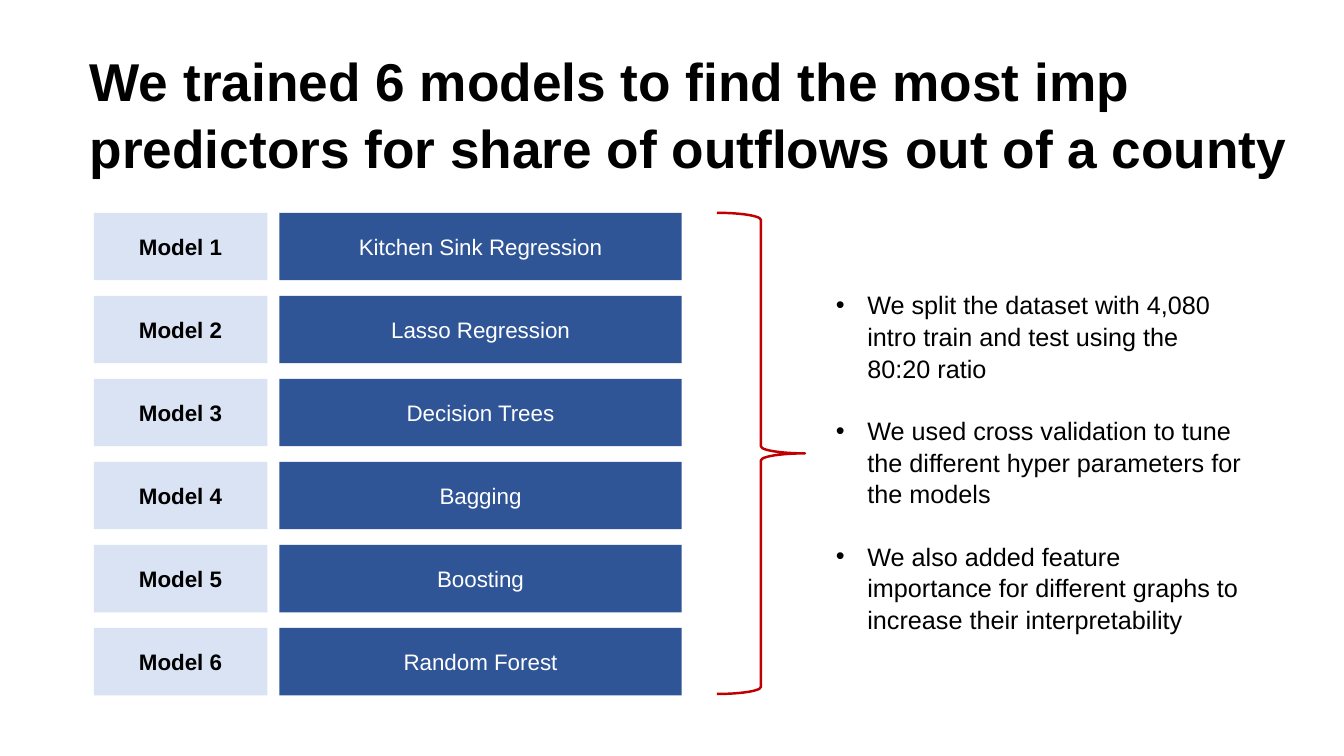
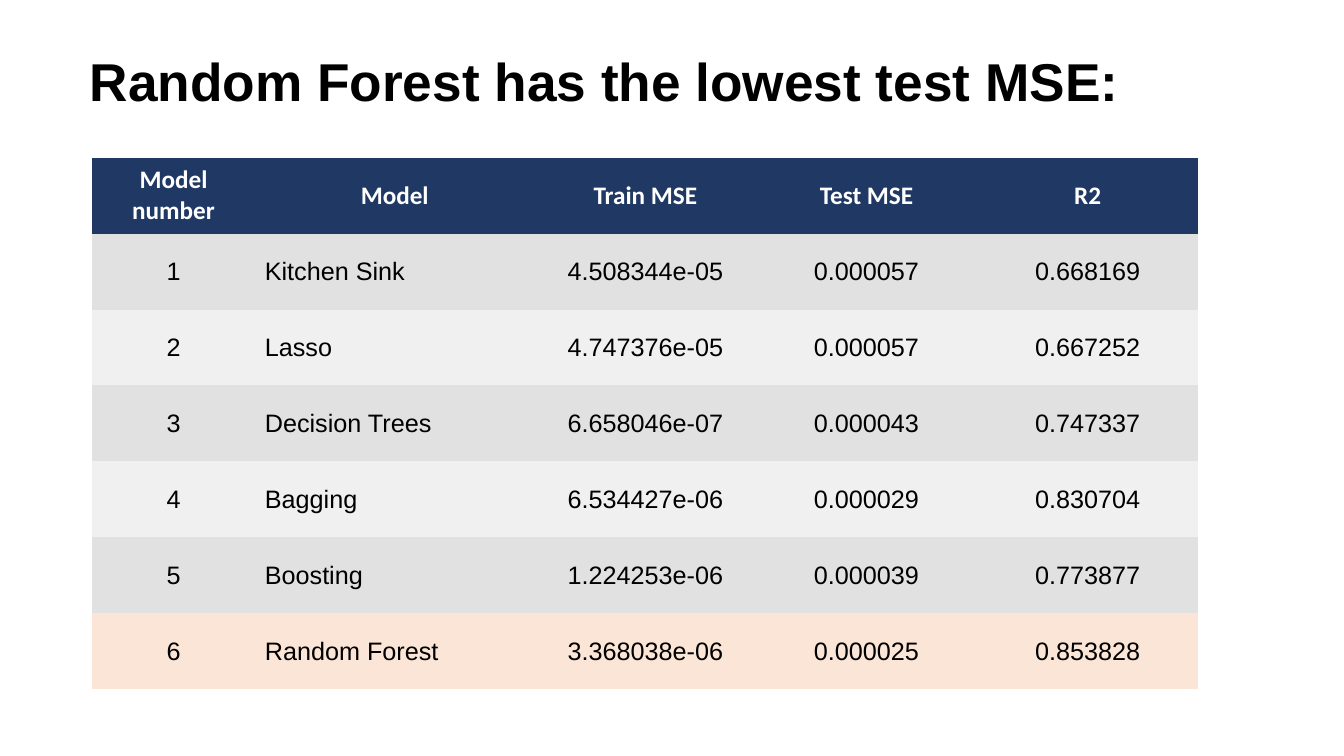
"""Two slides on the models trained to predict county outflows and their errors."""
from lxml import etree
from pptx import Presentation
from pptx.dml.color import RGBColor
from pptx.enum.shapes import MSO_SHAPE
from pptx.enum.text import MSO_ANCHOR, PP_ALIGN
from pptx.oxml.ns import qn
from pptx.util import Pt

RECT, BRACE = MSO_SHAPE.RECTANGLE, MSO_SHAPE.RIGHT_BRACE
MIDDLE, LEFT, CENTER = MSO_ANCHOR.MIDDLE, PP_ALIGN.LEFT, PP_ALIGN.CENTER

BLACK = RGBColor(0x00, 0x00, 0x00)
WHITE = RGBColor(0xFF, 0xFF, 0xFF)
NAVY = RGBColor(0x20, 0x38, 0x64)
BLUE = RGBColor(0x2F, 0x55, 0x97)
PALE_BLUE = RGBColor(0xDA, 0xE3, 0xF3)
RED = RGBColor(0xC0, 0x00, 0x00)
BANDS = [RGBColor(0xE1, 0xE1, 0xE1), RGBColor(0xF0, 0xF0, 0xF0)]
PEACH = RGBColor(0xFB, 0xE5, 0xD6)
NO_STYLE = "{2D5ABB26-0587-4C30-8999-92F81FD0307C}"

TITLE = dict(name="Arial", size=Pt(38), bold=True, color=BLACK)
LABEL = dict(name="Arial", size=Pt(16), bold=True, color=BLACK)
BAR = dict(name="Arial", size=Pt(16), bold=False, color=WHITE)
BODY = dict(name="Arial", size=Pt(18), bold=False, color=BLACK)
HEAD = dict(name="Calibri", size=Pt(18), bold=True, color=WHITE)
LINE_SPACING = 1.05

MODELS_TITLE = "We trained 6 models to find the most imp predictors for share of outflows out of a county"
MODELS = ["Kitchen Sink Regression", "Lasso Regression", "Decision Trees",
          "Bagging", "Boosting", "Random Forest"]
NOTES = [
    "We split the dataset with 4,080 intro train and test using the 80:20 ratio",
    "We used cross validation to tune the different hyper parameters for the models",
    "We also added feature importance for different graphs to increase their interpretability",
]

RESULTS_TITLE = "Random Forest has the lowest test MSE:"
HEADERS = ["Model number", "Model", "Train MSE", "Test MSE", "R2"]
RESULTS = [
    ("Kitchen Sink", "4.508344e-05", "0.000057", "0.668169"),
    ("Lasso", "4.747376e-05", "0.000057", "0.667252"),
    ("Decision Trees", "6.658046e-07", "0.000043", "0.747337"),
    ("Bagging", "6.534427e-06", "0.000029", "0.830704"),
    ("Boosting", "1.224253e-06", "0.000039", "0.773877"),
    ("Random Forest", "3.368038e-06", "0.000025", "0.853828"),
]
BEST = "Random Forest"
COLUMN_WIDTHS = [116, 200, 158, 158, 158]
ROW_HEIGHT = 54.3

BAR_TOP, BAR_STEP, BAR_HEIGHT = 152, 59.3, 48.2
LABEL_BOX = (67, 124)
NAME_BOX = (199.5, 287.5)


def write(p, text, style, align=LEFT):
    p.alignment = align
    r = p.add_run()
    r.text = text
    for key, value in style.items():
        if key == "color":
            r.font.color.rgb = value
        else:
            setattr(r.font, key, value)


def add_text(s, x, y, w, h):
    tf = s.shapes.add_textbox(Pt(x), Pt(y), Pt(w), Pt(h)).text_frame
    tf.word_wrap = True
    return tf


def add_slide(prs, title, title_width):
    s = prs.slides.add_slide(prs.slide_layouts[6])
    p = add_text(s, 57, 29, title_width, 104).paragraphs[0]
    p.line_spacing = LINE_SPACING
    write(p, title, TITLE)
    return s


def add_bar(s, x, y, w, fill, text, style):
    sp = s.shapes.add_shape(RECT, Pt(x), Pt(y), Pt(w), Pt(BAR_HEIGHT))
    sp.shadow.inherit = False
    sp.fill.solid()
    sp.fill.fore_color.rgb = fill
    sp.line.fill.background()
    sp.text_frame.vertical_anchor = MIDDLE
    write(sp.text_frame.paragraphs[0], text, style, CENTER)


def add_brace(s):
    height = BAR_STEP * (len(MODELS) - 1) + BAR_HEIGHT - 1
    sp = s.shapes.add_shape(BRACE, Pt(512), Pt(BAR_TOP), Pt(63), Pt(height))
    sp.shadow.inherit = False
    sp.fill.background()
    sp.line.color.rgb = RED
    sp.line.width = Pt(1.75)
    sp.adjustments[0], sp.adjustments[1] = 0.08, 0.5


def add_bullets(s, notes):
    tf = add_text(s, 590, 150.5, 304, 358)
    tf.vertical_anchor = MIDDLE
    for i, note in enumerate(notes):
        p = tf.add_paragraph() if i else tf.paragraphs[0]
        p.line_spacing = LINE_SPACING
        if i:
            p.space_before = Pt(21.7)
        pPr = p._p.get_or_add_pPr()
        pPr.set("marL", str(Pt(22.5)))
        pPr.set("indent", str(-Pt(22.5)))
        etree.SubElement(pPr, qn("a:buFont")).set("typeface", "Arial")
        etree.SubElement(pPr, qn("a:buChar")).set("char", "•")
        write(p, note, BODY)


def add_results(s):
    rows = [HEADERS] + [(str(n), *row) for n, row in enumerate(RESULTS, 1)]
    frame = s.shapes.add_table(len(rows), len(HEADERS), Pt(66), Pt(112.5),
                               Pt(sum(COLUMN_WIDTHS)), Pt(ROW_HEIGHT * len(rows)))
    table = frame.table
    table.horz_banding = False
    table._tbl.tblPr.find(qn("a:tableStyleId")).text = NO_STYLE
    for column, width in zip(table.columns, COLUMN_WIDTHS):
        column.width = Pt(width)
    for i, row in enumerate(rows):
        table.rows[i].height = Pt(ROW_HEIGHT)
        style = BODY if i else HEAD
        fill = NAVY if i == 0 else PEACH if row[1] == BEST else BANDS[(i - 1) % 2]
        for j, text in enumerate(row):
            cell = table.cell(i, j)
            cell.fill.solid()
            cell.fill.fore_color.rgb = fill
            cell.vertical_anchor = MIDDLE
            align = LEFT if i and j == 1 else CENTER
            write(cell.text_frame.paragraphs[0], text, style, align)


def main():
    prs = Presentation()
    prs.slide_width, prs.slide_height = Pt(960), Pt(540)

    s = add_slide(prs, MODELS_TITLE, 886)
    for i, model in enumerate(MODELS):
        y = BAR_TOP + i * BAR_STEP
        for (x, w), fill, text, style in (
            (LABEL_BOX, PALE_BLUE, f"Model {i + 1}", LABEL),
            (NAME_BOX, BLUE, model, BAR),
        ):
            add_bar(s, x, y, w, fill, text, style)
    add_brace(s)
    add_bullets(s, NOTES)

    s = add_slide(prs, RESULTS_TITLE, 837)
    add_results(s)

    prs.save("out.pptx")


if __name__ == "__main__":
    main()
